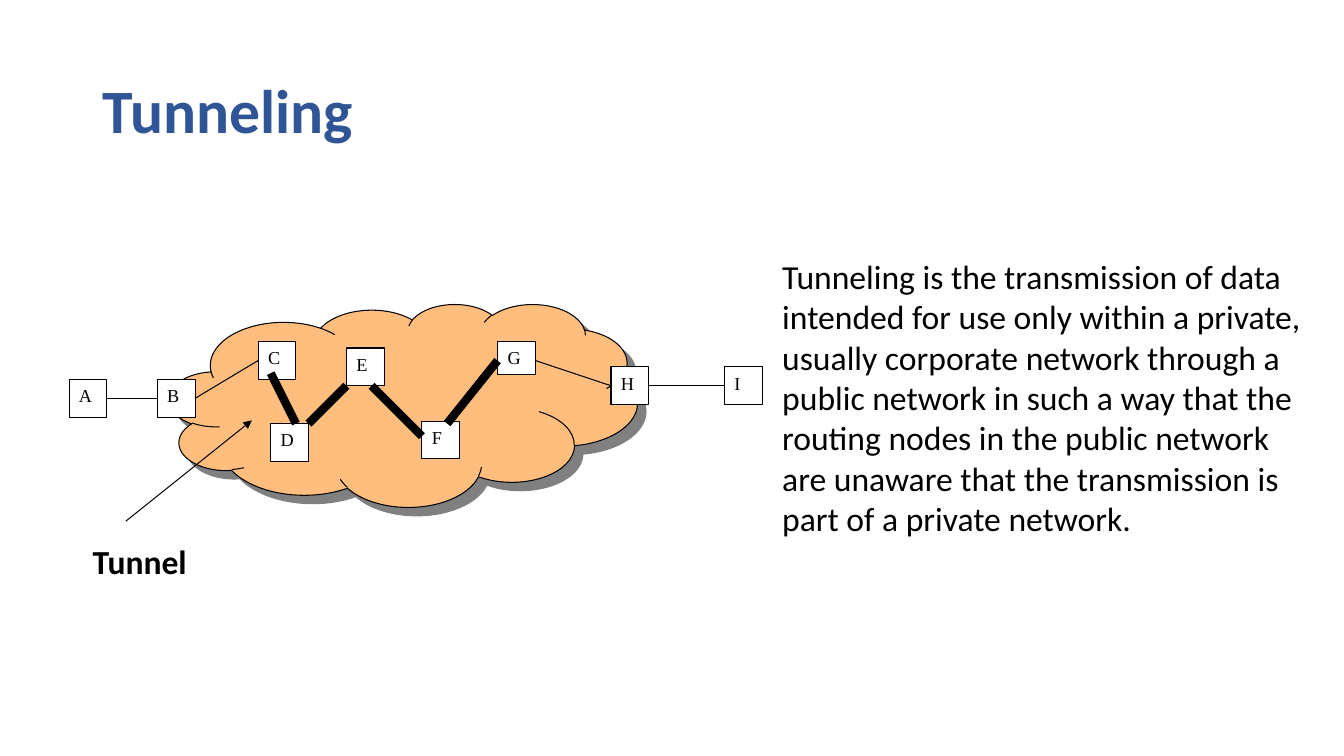
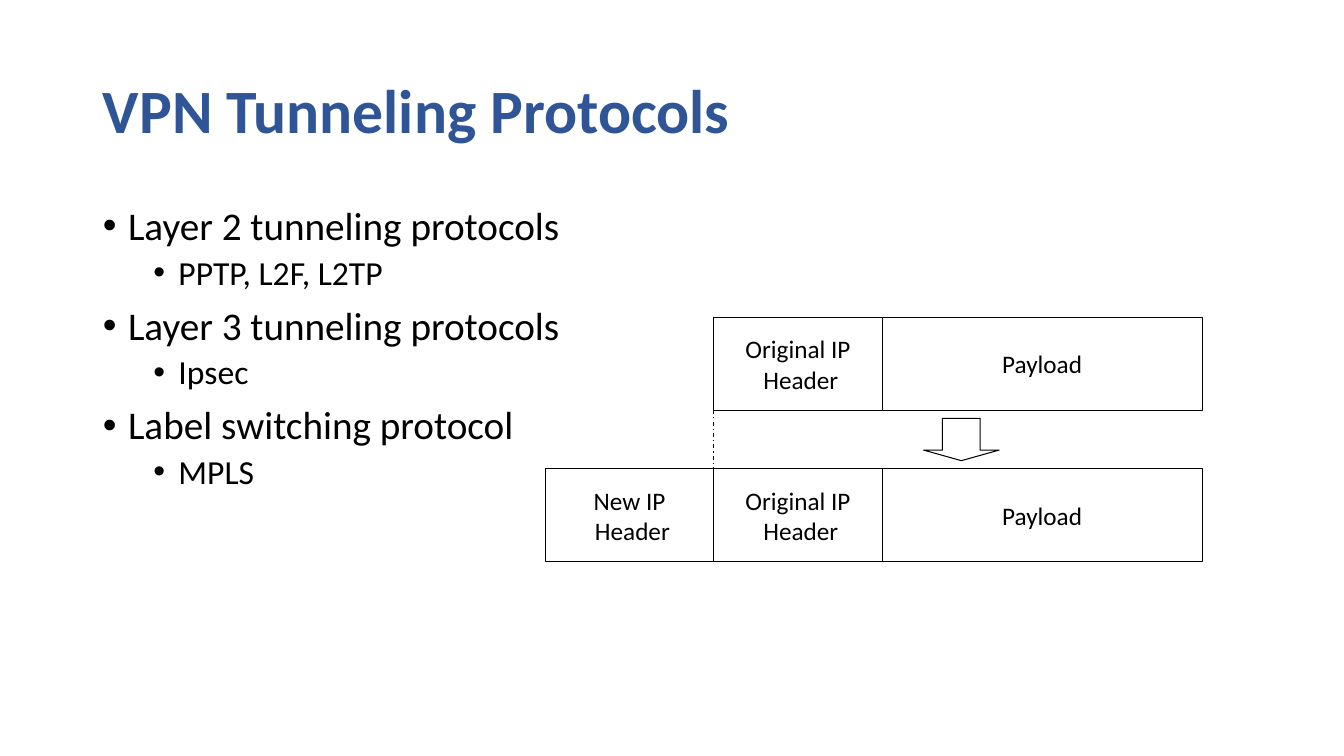
import pptx
import pptx.util
import pptx.dml.color
import pptx.enum.dml
import pptx.enum.shapes
import pptx.enum.text
import pptx.oxml
import pptx.oxml.ns

Inches, Pt = pptx.util.Inches, pptx.util.Pt
Shape = pptx.enum.shapes.MSO_SHAPE
Align = pptx.enum.text.PP_ALIGN
Anchor = pptx.enum.text.MSO_ANCHOR

COLORS = {"title": "2F5597", "ink": "000000", "box": "FFFFFF",
          "cloud": "FFBE7D", "shadow": "808080"}
SANS, SERIF = "Calibri", "Times New Roman"
SLIDE_W, SLIDE_H = 13.33, 7.5
MARGIN, CONTENT_W = 0.92, 11.5

# Network grid: one unit is an eighth of an inch
UNIT, GRID_X, GRID_Y = 0.125, 0.06, 3.39
NODE = 3
NODES = {"A": (5, 3), "B": (12, 3), "C": (20, 0), "D": (21, 6.5), "E": (27, 0.5),
         "F": (33, 6.3), "G": (39, 0), "H": (48, 2), "I": (57, 2)}
LINKS = [((8, 4.5), (12, 4.5)), ((15, 4.5), (20, 1.5)),
         ((51, 3.5), (57, 3.5)), ((42, 1.5), (48, 3.5))]
TUNNEL = [((21, 2.5), (23, 6.5)), ((24, 6.5), (27, 3.5)),
          ((29, 3.5), (33, 7.5)), ((35, 6.5), (39, 1.5))]

# Packet grid: header columns and two rows
PACKET_X, PACKET_Y = 5.41, 3.15
COLUMN, ROW_STEP, ROW_H = 1.67, 1.5, 0.92
PAYLOAD_COLUMNS = 1.9

PROTOCOLS = [("Layer 2 tunneling protocols", "PPTP, L2F, L2TP"),
             ("Layer 3 tunneling protocols", "Ipsec"),
             ("Label switching protocol", "MPLS")]
DEFINITION = (
    "Tunneling is the transmission of data intended for use only within a private, "
    "usually corporate network through a public network in such a way that the "
    "routing nodes in the public network are unaware that the transmission is part "
    "of a private network.")


def rgb(name):
    return pptx.dml.color.RGBColor.from_string(COLORS[name])


def grid_point(column, row):
    return GRID_X + column * UNIT, GRID_Y + row * UNIT


def write_text(frame, text, size=24, font=SANS, color="ink", bold=False,
               align=Align.LEFT, anchor=Anchor.TOP, wrap=True, spacing=None):
    """Fill a frame with one paragraph per line of text."""
    frame.auto_size = pptx.enum.text.MSO_AUTO_SIZE.NONE
    frame.text = text
    frame.word_wrap = wrap
    frame.vertical_anchor = anchor
    for paragraph in frame.paragraphs:
        paragraph.alignment = align
        paragraph.line_spacing = spacing
        for run in paragraph.runs:
            run.font.name, run.font.size, run.font.bold = font, Pt(size), bold
            run.font.color.rgb = rgb(color)


def place(shape, left, top, width, height):
    shape.left, shape.top = Inches(left), Inches(top)
    shape.width, shape.height = Inches(width), Inches(height)


def add_titled_slide(deck, layout, title):
    slide = deck.slides.add_slide(deck.slide_layouts.get_by_name(layout))
    place(slide.shapes.title, MARGIN, 0.4, CONTENT_W, 1.45)
    write_text(slide.shapes.title.text_frame, title, size=44, color="title",
               bold=True, anchor=Anchor.MIDDLE, spacing=0.9)
    return slide


def add_outlined(slide, preset, left, top, width, height, fill=None):
    shape = slide.shapes.add_shape(
        preset, Inches(left), Inches(top), Inches(width), Inches(height))
    shape.shadow.inherit = False
    if fill:
        shape.fill.solid()
        shape.fill.fore_color.rgb = rgb(fill)
    else:
        shape.fill.background()
    shape.line.color.rgb = rgb("ink")
    shape.line.width = Pt(0.75)
    return shape


def add_line(slide, start, end, width=0.75, dash=None, arrow=False):
    line = slide.shapes.add_connector(
        pptx.enum.shapes.MSO_CONNECTOR.STRAIGHT,
        *(Inches(value) for value in (*start, *end)))
    line.line.color.rgb = rgb("ink")
    line.line.width = Pt(width)
    if dash:
        line.line.dash_style = dash
    properties = line._element.spPr
    if arrow:
        tail = pptx.oxml.ns.qn("a:tailEnd")
        line.line._get_or_add_ln().makeelement(tail)
        head = pptx.oxml.parse_xml(
            f'<a:tailEnd {pptx.oxml.ns.nsdecls("a")} type="triangle"/>')
        line.line._get_or_add_ln().append(head)
    properties.append(pptx.oxml.parse_xml(
        f'<a:effectLst {pptx.oxml.ns.nsdecls("a")}/>'))


def add_label(slide, text, left, top, width, height, **text_format):
    label = slide.shapes.add_textbox(
        Inches(left), Inches(top), Inches(width), Inches(height))
    write_text(label.text_frame, text, **text_format)


def add_cloud(slide):
    cloud = add_outlined(slide, Shape.CLOUD, *grid_point(12.9, -3),
                         37.2 * UNIT, 16.1 * UNIT, fill="cloud")
    effects = cloud._element.spPr.find(pptx.oxml.ns.qn("a:effectLst"))
    effects.append(pptx.oxml.parse_xml(
        f'<a:outerShdw {pptx.oxml.ns.nsdecls("a")} dist="{Pt(8.5)}" '
        f'dir="{45 * 60000}" algn="ctr" rotWithShape="0">'
        f'<a:srgbClr val="{COLORS["shadow"]}"/></a:outerShdw>'))


def add_node(slide, name, column, row):
    height = 0.33 if name == "G" else NODE * UNIT
    node = add_outlined(slide, Shape.RECTANGLE, *grid_point(column, row),
                        NODE * UNIT, height, fill="box")
    write_text(node.text_frame, name, size=13, font=SERIF)


def add_packet_part(slide, text, column, row, columns=1):
    part = add_outlined(slide, Shape.RECTANGLE, PACKET_X + column * COLUMN,
                        PACKET_Y + row * ROW_STEP, columns * COLUMN, ROW_H)
    write_text(part.text_frame, text, size=18, align=Align.CENTER,
               anchor=Anchor.MIDDLE, wrap=False)


def set_bullet(paragraph, level):
    paragraph.level = level
    paragraph.space_before = Pt(5 if level else 10)
    for run in paragraph.runs:
        run.font.size = Pt(24 if level else 28)
    properties = paragraph._p.get_or_add_pPr()
    properties.set("marL", str(Inches(0.25 + 0.5 * level)))
    properties.set("indent", str(Inches(-0.25)))
    for tag in (f'a:buFont {pptx.oxml.ns.nsdecls("a")} typeface="Arial"',
                f'a:buChar {pptx.oxml.ns.nsdecls("a")} char="•"'):
        properties.append(pptx.oxml.parse_xml(f"<{tag}/>"))


def build_tunneling(deck):
    slide = add_titled_slide(deck, "Title Only", "Tunneling")

    # Network diagram
    add_cloud(slide)
    for name, cell in NODES.items():
        add_node(slide, name, *cell)
    for links, width in ((LINKS, 0.75), (TUNNEL, 6)):
        for start, end in links:
            add_line(slide, grid_point(*start), grid_point(*end), width)

    # Callout and definition
    add_line(slide, grid_point(9.5, 14.25), grid_point(19.5, 6.25), arrow=True)
    add_label(slide, "Tunnel", 0.82, 5.32, 1.15, 0.5, bold=True, wrap=False)
    add_label(slide, DEFINITION, 7.66, 2.49, 5.52, 3.33)


def build_protocols(deck):
    slide = add_titled_slide(deck, "Title and Content", "VPN Tunneling Protocols")

    # Protocol list
    protocols = slide.placeholders[1]
    place(protocols, MARGIN, 2, CONTENT_W, 4.76)
    write_text(protocols.text_frame, "\n".join(sum(PROTOCOLS, ())), spacing=0.9)
    for index, paragraph in enumerate(protocols.text_frame.paragraphs):
        set_bullet(paragraph, level=index % 2)

    # Packet before and after encapsulation
    for row in range(2):
        add_packet_part(slide, "Payload", 2, row, PAYLOAD_COLUMNS)
        add_packet_part(slide, "Original IP\n Header", 1, row)
    add_packet_part(slide, "New IP\n Header", 0, 1)
    header_x = PACKET_X + COLUMN
    add_line(slide, (header_x, PACKET_Y + ROW_H), (header_x, PACKET_Y + ROW_STEP),
             dash=pptx.enum.dml.MSO_LINE.DASH_DOT)
    step = add_outlined(slide, Shape.DOWN_ARROW, 9.16, 4.15, 0.75, 0.42)
    step.adjustments[0], step.adjustments[1] = 0.5, 0.25


def main():
    deck = pptx.Presentation()
    deck.slide_width, deck.slide_height = Inches(SLIDE_W), Inches(SLIDE_H)
    build_tunneling(deck)
    build_protocols(deck)
    deck.save("out.pptx")


if __name__ == "__main__":
    main()
